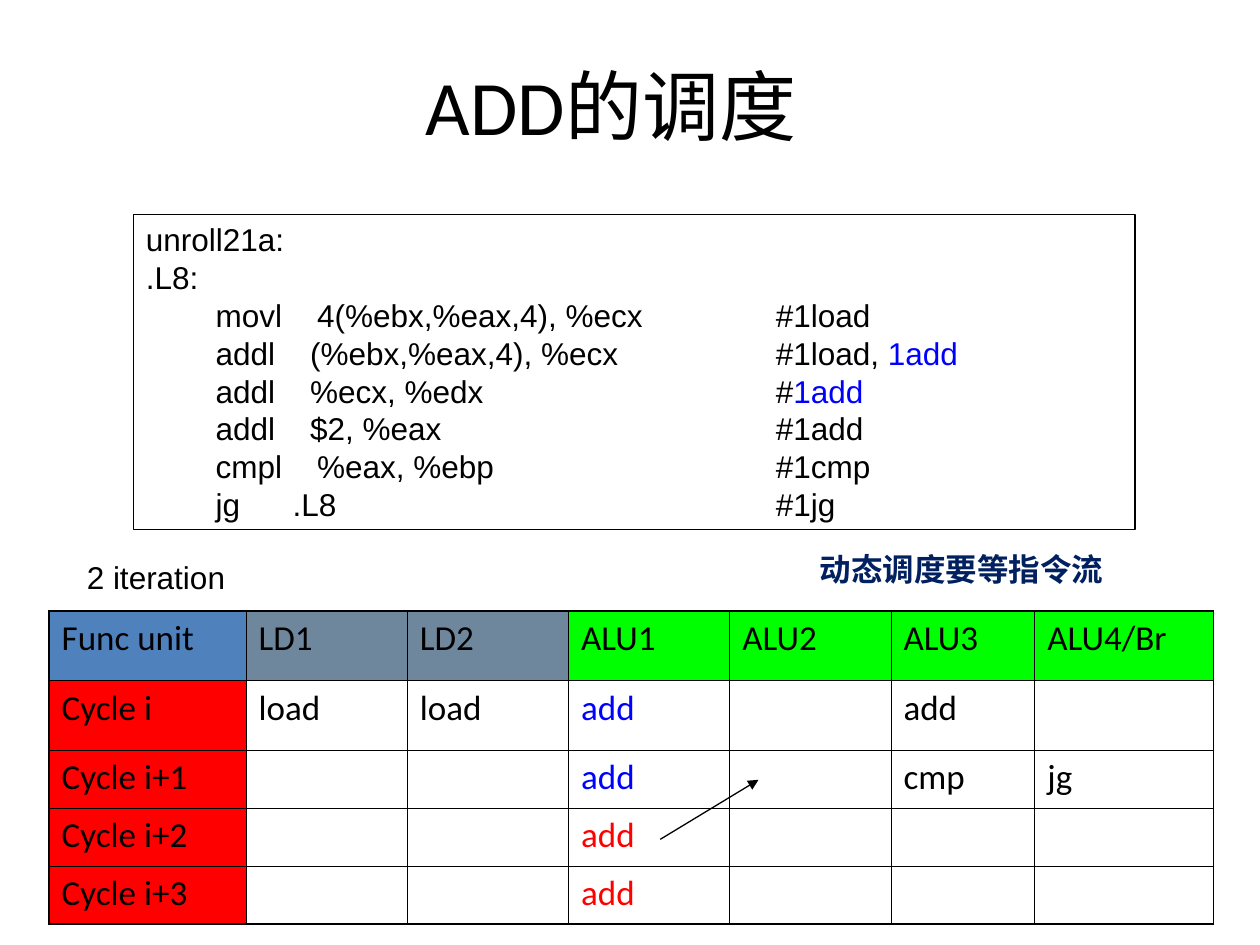
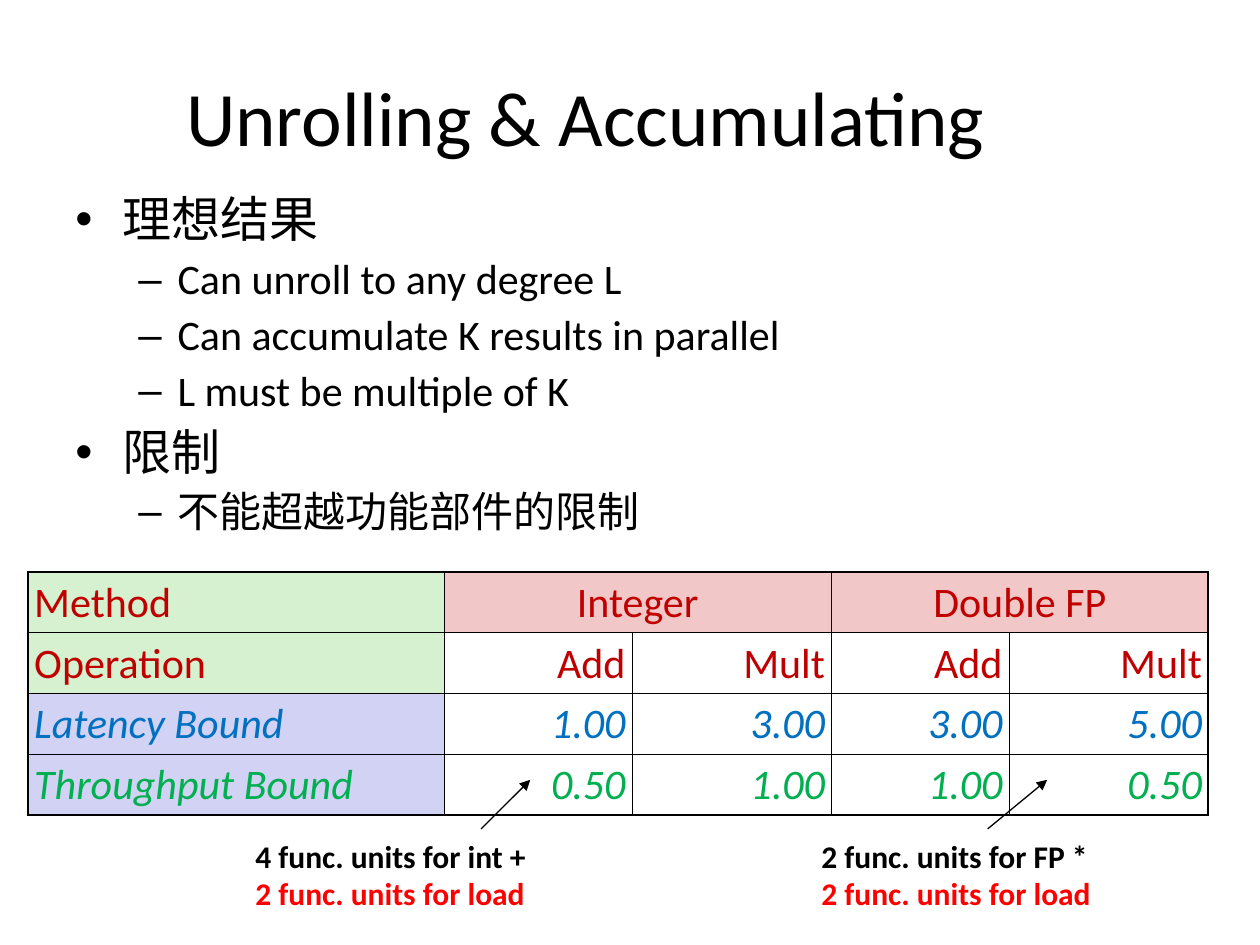
import pptx
import pptx.dml.color
import pptx.enum.shapes
import pptx.enum.text
import pptx.oxml
import pptx.oxml.ns
import pptx.util

Cm = pptx.util.Cm
Pt = pptx.util.Pt
RGB = pptx.dml.color.RGBColor
ALIGN = pptx.enum.text.PP_ALIGN
ANCHOR = pptx.enum.text.MSO_ANCHOR

# Shared colours and lines
BLACK = RGB(0x00, 0x00, 0x00)
BLUE = RGB(0x00, 0x00, 0xFF)
RED = RGB(0xFF, 0x00, 0x00)
NAVY = RGB(0x00, 0x20, 0x60)
STEEL = RGB(0x4F, 0x81, 0xBD)
SLATE = RGB(0x6F, 0x87, 0x9D)
LIME = RGB(0x00, 0xFF, 0x00)
DARK_RED = RGB(0xC0, 0x00, 0x00)
SKY = RGB(0x00, 0x70, 0xC0)
GREEN = RGB(0x00, 0xB0, 0x50)
PALE_GREEN = RGB(0xD5, 0xF1, 0xCF)
PALE_RED = RGB(0xF1, 0xC7, 0xC7)
PALE_BLUE = RGB(0xD2, 0xD2, 0xF4)
THIN, THICK = Pt(0.45), Pt(1.08)
COMMENT_TAB = Cm(12.7)

# Slide 1: scheduling of ADD
SCHEDULE_TITLE = "ADD的调度"
CODE = [
    "unroll21a:",
    ".L8:",
    "        movl    4(%ebx,%eax,4), %ecx\t#1load",
    [("        addl    (%ebx,%eax,4), %ecx\t#1load, ", BLACK), ("1add", BLUE)],
    [("        addl    %ecx, %edx\t#", BLACK), ("1add", BLUE)],
    "        addl    $2, %eax\t#1add",
    "        cmpl    %eax, %ebp\t#1cmp",
    "        jg      .L8\t#1jg",
]
SCHEDULE = [
    ["Func unit", "LD1", "LD2", "ALU1", "ALU2", "ALU3", "ALU4/Br"],
    ["Cycle i", "load", "load", "add", "", "add", ""],
    ["Cycle i+1", "", "", "add", "", "cmp", "jg"],
    ["Cycle i+2", "", "", "add", "", "", ""],
    ["Cycle i+3", "", "", "add", "", "", ""],
]
SCHEDULE_WIDTHS = [3.97, 3.25, 3.25, 3.25, 3.25, 2.9, 3.6]
SCHEDULE_HEIGHTS = [1.4, 1.4, 1.17, 1.17, 1.17]
UNIT_FILLS = [STEEL, SLATE, SLATE, LIME, LIME, LIME, LIME]
ALU1_COLORS = [BLACK, BLUE, BLUE, RED, RED]
ALU1_COLUMN = 3

# Slide 2: limits of unrolling
UNROLL_TITLE = "Unrolling & Accumulating"
OUTLINE = [
    (0, "理想结果"),
    (1, "Can unroll to any degree L"),
    (1, "Can accumulate K results in parallel"),
    (1, "L must be multiple of K"),
    (0, "限制"),
    (1, "不能超越功能部件的限制"),
]
# Per level: bullet, left margin, hanging indent, size, space before
LEVELS = [("•", 0.95, 0.95, 28, 7), ("–", 2.06, 0.79, 24, 6)]
BOUNDS = [
    ["Method", "Integer", "", "Double FP", ""],
    ["Operation", "Add", "Mult", "Add", "Mult"],
    ["Latency Bound", "1.00", "3.00", "3.00", "5.00"],
    ["Throughput Bound", "0.50", "1.00", "1.00", "0.50"],
]
BOUND_WIDTHS = [8.39, 3.79, 4.02, 3.58, 4.02]
BOUND_HEIGHTS = [1.22] * 4
BOUND_COLORS = [DARK_RED, DARK_RED, SKY, GREEN]
BOUND_FILLS = [PALE_GREEN, PALE_GREEN, PALE_BLUE, PALE_BLUE]
UNIT_NOTES = [
    (4.9, "4 func. units for int +", (9.7, 16.71, 10.69, 15.72)),
    (16.31, "2 func. units for FP *", (19.91, 16.71, 21.11, 15.72)),
]
LOAD_NOTE = "2 func. units for load"


def write(para, text, size=18, font="Calibri", color=BLACK, bold=False,
          italic=False, align=ALIGN.LEFT, spacing=None):
    """Fill a paragraph with a string or with (text, colour) spans."""
    para.alignment = align
    if spacing:
        para.line_spacing = spacing
    spans = [(text, color)] if isinstance(text, str) else text
    for words, tint in spans:
        span = para.add_run()
        span.text = words
        span.font.size = Pt(size)
        span.font.name = font
        span.font.bold = bold
        span.font.italic = italic
        span.font.color.rgb = tint


def add_element(parent, xml):
    element = pptx.oxml.parse_xml(xml.replace(
        " ", f" {pptx.oxml.ns.nsdecls('a')} ", 1))
    parent.append(element)


def next_para(frame, index):
    return frame.add_paragraph() if index else frame.paragraphs[0]


def add_text(page, place, lines, anchor=ANCHOR.TOP, **style):
    box = page.shapes.add_textbox(*map(Cm, place))
    frame = box.text_frame
    frame.word_wrap = True
    frame.vertical_anchor = anchor
    for index, line in enumerate(lines):
        write(next_para(frame, index), line, **style)


def add_title(page, place, text):
    add_text(page, place, [text], anchor=ANCHOR.MIDDLE, size=44,
             align=ALIGN.CENTER)


def add_arrow(page, start_x, start_y, end_x, end_y):
    arrow = page.shapes.add_connector(
        pptx.enum.shapes.MSO_CONNECTOR.STRAIGHT,
        Cm(start_x), Cm(start_y), Cm(end_x), Cm(end_y))
    arrow.line.color.rgb = BLACK
    arrow.line.width = Pt(0.75)
    add_element(arrow.line._get_or_add_ln(), '<a:tailEnd type="triangle"/>')
    add_element(arrow._element.spPr, '<a:effectLst />')


def add_grid(page, left, top, widths, heights):
    """Add an unstyled table with the given column and row sizes in cm."""
    table = page.shapes.add_table(
        len(heights), len(widths), Cm(left), Cm(top),
        Cm(sum(widths)), Cm(sum(heights))).table
    table.first_row = table.horz_banding = False
    for column, width in zip(table.columns, widths):
        column.width = Cm(width)
    for row, height in zip(table.rows, heights):
        row.height = Cm(height)
    return table


def finish_cell(table, row, column, fill):
    """Draw thick lines on the table's rim, thin ones inside, and fill."""
    cell = table.cell(row, column)
    on_rim = {
        "L": column == 0,
        "R": column + cell.span_width == len(table.columns),
        "T": row == 0,
        "B": row + 1 == len(table.rows),
    }
    for side, rim in on_rim.items():
        width = THICK if rim else THIN
        add_element(
            cell._tc.get_or_add_tcPr(),
            f'<a:ln{side} w="{int(width)}"><a:solidFill>'
            f'<a:srgbClr val="{BLACK}"/></a:solidFill></a:ln{side}>')
    if fill:
        cell.fill.solid()
        cell.fill.fore_color.rgb = fill
    else:
        cell.fill.background()


def add_code(page):
    box = page.shapes.add_shape(
        pptx.enum.shapes.MSO_SHAPE.RECTANGLE,
        Cm(2.69), Cm(4.32), Cm(20.19), Cm(6.35))
    box.shadow.inherit = False
    box.fill.background()
    box.line.color.rgb = BLACK
    box.line.width = Pt(0.75)
    frame = box.text_frame
    frame.word_wrap = True
    frame.vertical_anchor = ANCHOR.TOP
    for index, line in enumerate(CODE):
        para = next_para(frame, index)
        add_element(
            para._p.get_or_add_pPr(),
            f'<a:tabLst ><a:tab pos="{int(COMMENT_TAB)}" algn="l"/></a:tabLst>')
        write(para, line, font="Arial")


def add_outline(page):
    box = page.shapes.add_textbox(Cm(1.27), Cm(3.81), Cm(23.09), Cm(7.72))
    frame = box.text_frame
    frame.word_wrap = True
    for index, (level, text) in enumerate(OUTLINE):
        bullet, margin, hang, size, before = LEVELS[level]
        para = next_para(frame, index)
        para.level = level
        properties = para._p.get_or_add_pPr()
        properties.set("marL", str(int(Cm(margin))))
        properties.set("indent", str(-int(Cm(hang))))
        add_element(properties, '<a:buFont typeface="Arial"/>')
        add_element(properties, f'<a:buChar char="{bullet}"/>')
        if index:
            para.space_before = Pt(before)
        write(para, text, size=size, spacing=0.9)


def build_schedule(page):
    add_title(page, (0.89, 0.53, 22.86, 3.18), SCHEDULE_TITLE)

    # Functional units by cycle
    table = add_grid(page, 0.99, 12.32, SCHEDULE_WIDTHS, SCHEDULE_HEIGHTS)
    for row, words in enumerate(SCHEDULE):
        for column, word in enumerate(words):
            fill = None
            if row == 0:
                fill = UNIT_FILLS[column]
            elif column == 0:
                fill = RED
            finish_cell(table, row, column, fill)
            if word:
                color = ALU1_COLORS[row] if column == ALU1_COLUMN else BLACK
                write(table.cell(row, column).text_frame.paragraphs[0], word,
                      size=20, color=color)

    # Code and remarks
    add_code(page)
    add_text(page, (1.5, 11.13, 3.99, 1.02), ["2 iteration"], font="Arial")
    add_arrow(page, 13.31, 16.92, 15.29, 15.72)
    add_text(page, (16.28, 10.97, 6.6, 1.02), ["动态调度要等指令流"],
             font="Arial", color=NAVY, bold=True)


def build_unrolling(page):
    add_title(page, (1.27, 1.27, 21.08, 2.11), UNROLL_TITLE)
    add_outline(page)

    # Latency and throughput bounds
    table = add_grid(page, 0.56, 11.53, BOUND_WIDTHS, BOUND_HEIGHTS)
    for column in (1, 3):
        table.cell(0, column).merge(table.cell(0, column + 1))
    for row, words in enumerate(BOUNDS):
        for column, word in enumerate(words):
            if column == 0:
                fill, align = BOUND_FILLS[row], ALIGN.LEFT
            elif row == 0:
                fill, align = PALE_RED, ALIGN.CENTER
            else:
                fill, align = None, ALIGN.RIGHT
            finish_cell(table, row, column, fill)
            cell = table.cell(row, column)
            cell.margin_left = cell.margin_right = Cm(0.13)
            cell.margin_top = cell.margin_bottom = Cm(0.13)
            if word:
                write(cell.text_frame.paragraphs[0], word, size=24,
                      color=BOUND_COLORS[row], italic=row > 1, align=align,
                      spacing=0.95)

    # Notes on the functional units
    for left, note, arrow in UNIT_NOTES:
        add_text(page, (left, 16.74, 9, 1.78),
                 [note, [(LOAD_NOTE, RED)]], bold=True)
        add_arrow(page, *arrow)


def main():
    deck = pptx.Presentation()
    deck.slide_width, deck.slide_height = Cm(25.4), Cm(19.05)
    blank = deck.slide_layouts[6]
    for build in (build_schedule, build_unrolling):
        build(deck.slides.add_slide(blank))
    deck.save("out.pptx")


if __name__ == "__main__":
    main()
